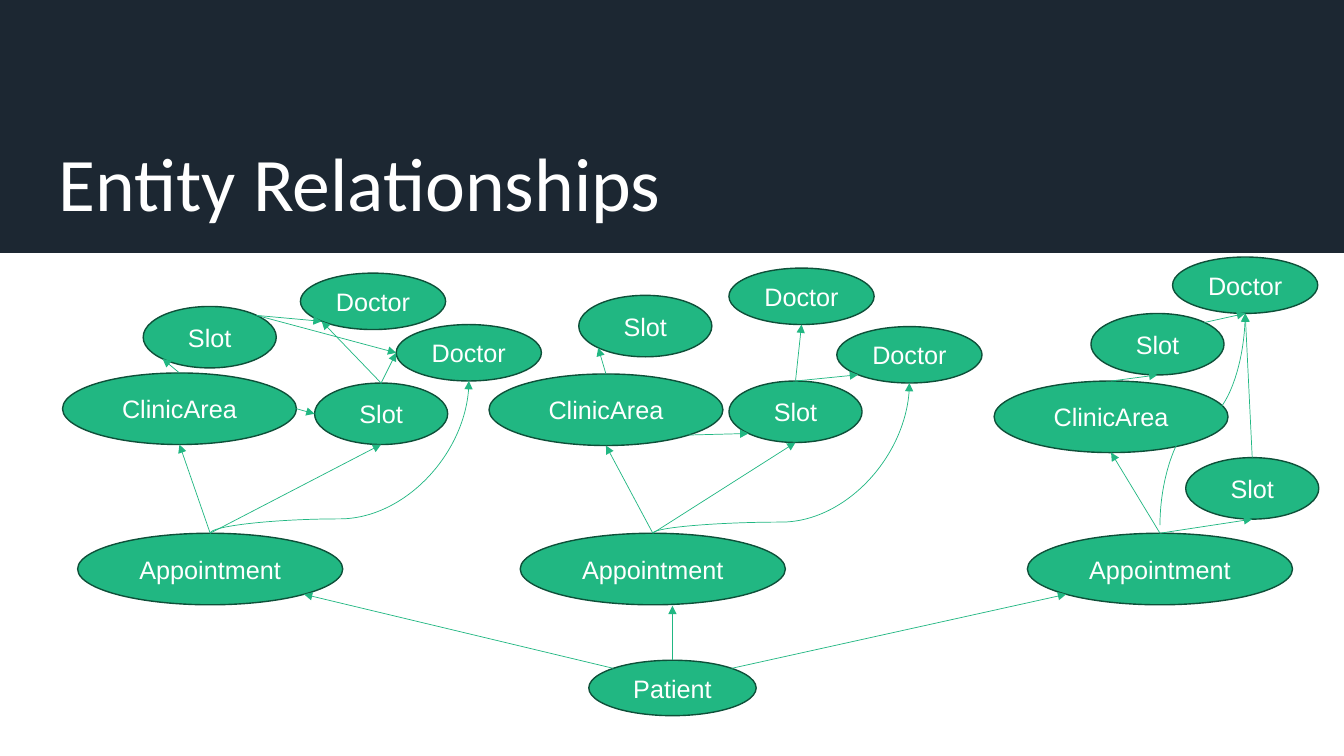
from dataclasses import dataclass
from enum import Enum
from math import cos, radians, sin
from typing import NamedTuple

from lxml import etree
from pptx import Presentation
from pptx import util as u
from pptx.dml import color
from pptx.enum import shapes, text
from pptx.oxml import ns
from pptx.shapes import autoshape, connector as links
from pptx.slide import Slide


@dataclass(frozen=True)
class Theme:
    band: color.RGBColor = color.RGBColor.from_string("1C2732")
    entity: color.RGBColor = color.RGBColor.from_string("21B782")
    outline: color.RGBColor = color.RGBColor.from_string("0E5039")
    text: color.RGBColor = color.RGBColor.from_string("FFFFFF")
    title_font: str = "Calibri"
    label_font: str = "Arial"
    title_size: u.Pt = u.Pt(54)
    label_size: u.Pt = u.Pt(18)
    outline_width: u.Pt = u.Pt(1)
    link_width: u.Pt = u.Pt(0.5)


class Site(Enum):
    RIGHT = 0
    BOTTOM_RIGHT = 45
    BOTTOM = 90
    BOTTOM_LEFT = 135
    LEFT = 180
    TOP_LEFT = 225
    TOP = 270
    TOP_RIGHT = 315


class Point(NamedTuple):
    x: float
    y: float


SIZES = {
    "Patient": (1.66, 0.55),
    "Appointment": (2.63, 0.71),
    "ClinicArea": (2.32, 0.71),
    "Slot": (1.32, 0.61),
    "Doctor": (1.44, 0.56),
}


@dataclass(frozen=True)
class Entity:
    label: str
    left: float
    top: float

    def at(self, site: Site) -> Point:
        width, height = SIZES[self.label]
        angle = radians(site.value)
        return Point(self.left + width / 2 * (1 + cos(angle)),
                     self.top + height / 2 * (1 + sin(angle)))


class Link(NamedTuple):
    source: str
    start: Site
    target: str
    end: Site


class Curve(NamedTuple):
    source: str
    target: str
    gap: float
    bend: float


THEME = Theme()
ENTITIES = {
    "patient": Entity("Patient", 5.84, 6.55),
    "appointment 1": Entity("Appointment", 0.77, 5.29),
    "appointment 2": Entity("Appointment", 5.16, 5.29),
    "appointment 3": Entity("Appointment", 10.19, 5.29),
    "clinic 1": Entity("ClinicArea", 0.62, 3.7),
    "slot 1a": Entity("Slot", 1.42, 3.04),
    "slot 1b": Entity("Slot", 3.12, 3.8),
    "slot 2a": Entity("Slot", 5.74, 2.93),
    "slot 2b": Entity("Slot", 7.23, 3.78),
    "slot 3a": Entity("Slot", 10.82, 3.11),
    "slot 3b": Entity("Slot", 11.76, 4.54),
    "clinic 2": Entity("ClinicArea", 4.85, 3.71),
    "clinic 3": Entity("ClinicArea", 9.86, 3.78),
    "doctor 2a": Entity("Doctor", 7.23, 2.66),
    "doctor 2b": Entity("Doctor", 8.3, 3.24),
    "doctor 1a": Entity("Doctor", 2.98, 2.71),
    "doctor 1b": Entity("Doctor", 3.93, 3.22),
    "doctor 3": Entity("Doctor", 11.63, 2.55),
}
LINKS = [
    Link("patient", Site.TOP_LEFT, "appointment 1", Site.BOTTOM_RIGHT),
    Link("patient", Site.TOP_RIGHT, "appointment 3", Site.BOTTOM_LEFT),
    *(Link(f"appointment {n}", Site.TOP, f"clinic {n}", Site.BOTTOM) for n in (1, 2, 3)),
    *(Link(f"appointment {n}", Site.TOP, f"slot {n}b", Site.BOTTOM) for n in (1, 2, 3)),
    Link("clinic 1", Site.TOP, "slot 1a", Site.BOTTOM_LEFT),
    Link("clinic 1", Site.RIGHT, "slot 1b", Site.LEFT),
    Link("slot 1a", Site.TOP_RIGHT, "doctor 1a", Site.BOTTOM_LEFT),
    Link("slot 1a", Site.TOP_RIGHT, "doctor 1b", Site.LEFT),
    Link("slot 1b", Site.TOP, "doctor 1a", Site.BOTTOM_LEFT),
    Link("slot 1b", Site.TOP, "doctor 1b", Site.LEFT),
    Link("clinic 2", Site.TOP, "slot 2a", Site.BOTTOM_LEFT),
    Link("clinic 2", Site.BOTTOM_RIGHT, "slot 2b", Site.BOTTOM_LEFT),
    Link("slot 2b", Site.TOP, "doctor 2a", Site.BOTTOM),
    Link("slot 2b", Site.TOP, "doctor 2b", Site.BOTTOM_LEFT),
    Link("slot 3a", Site.TOP_RIGHT, "doctor 3", Site.BOTTOM),
    Link("slot 3b", Site.TOP, "doctor 3", Site.BOTTOM),
    Link("clinic 3", Site.TOP, "slot 3a", Site.BOTTOM),
]
CURVES = [
    Curve("appointment 1", "doctor 1b", 0, 0.094),
    Curve("appointment 2", "doctor 2b", 0, 0.074),
    Curve("appointment 3", "doctor 3", 0.08, 0.5),
]


def add_text(paragraph, words: str, font_name: str, size: u.Pt) -> None:
    run = paragraph.add_run()
    run.text = words
    run.font.name = font_name
    run.font.size = size
    run.font.color.rgb = THEME.text


def add_filled(slide: Slide, preset: shapes.MSO_SHAPE, left: float, top: float,
               width: float, height: float, fill: color.RGBColor) -> autoshape.Shape:
    shape = slide.shapes.add_shape(preset, u.Inches(left), u.Inches(top),
                                   u.Inches(width), u.Inches(height))
    shape.shadow.inherit = False
    shape.fill.solid()
    shape.fill.fore_color.rgb = fill
    return shape


def add_heading(slide: Slide) -> None:
    title = slide.shapes.title
    band = add_filled(slide, shapes.MSO_SHAPE.RECTANGLE, 0, 0, 13.33, 2.51, THEME.band)
    band.line.fill.background()
    title.element.addprevious(band.element)
    title.left, title.top = u.Inches(0.53), u.Inches(0.4)
    title.width, title.height = u.Inches(11.89), u.Inches(1.85)
    frame = title.text_frame
    frame.word_wrap = True
    frame.auto_size = text.MSO_AUTO_SIZE.NONE
    frame.vertical_anchor = text.MSO_ANCHOR.BOTTOM
    frame.margin_left, frame.margin_bottom = u.Inches(0.05), 0
    paragraph = frame.paragraphs[0]
    paragraph.alignment = text.PP_ALIGN.LEFT
    add_text(paragraph, "Entity Relationships", THEME.title_font, THEME.title_size)


def add_entity(slide: Slide, entity: Entity) -> None:
    shape = add_filled(slide, shapes.MSO_SHAPE.OVAL, entity.left, entity.top,
                       *SIZES[entity.label], THEME.entity)
    shape.line.color.rgb = THEME.outline
    shape.line.width = THEME.outline_width
    shape.text_frame.vertical_anchor = text.MSO_ANCHOR.MIDDLE
    paragraph = shape.text_frame.paragraphs[0]
    paragraph.alignment = text.PP_ALIGN.CENTER
    add_text(paragraph, entity.label, THEME.label_font, THEME.label_size)


def add_arrow(slide: Slide, start: Point, end: Point,
              kind: shapes.MSO_CONNECTOR = shapes.MSO_CONNECTOR.STRAIGHT) -> links.Connector:
    arrow = slide.shapes.add_connector(kind, *(u.Inches(v) for v in (*start, *end)))
    arrow.line.color.rgb = THEME.entity
    arrow.line.width = THEME.link_width
    properties = arrow.element.spPr
    etree.SubElement(properties.get_or_add_ln(), ns.qn("a:tailEnd"), type="triangle")
    etree.SubElement(properties, ns.qn("a:effectLst"))
    return arrow


def add_curve(slide: Slide, curve: Curve) -> None:
    start = ENTITIES[curve.source].at(Site.TOP)
    start = Point(start.x, start.y - curve.gap)
    end = ENTITIES[curve.target].at(Site.BOTTOM)
    middle = Point((start.x + end.x) / 2, (start.y + end.y) / 2)
    across, rise = (end.x - start.x) / 2, (start.y - end.y) / 2
    arrow = add_arrow(slide, Point(middle.x + rise, middle.y + across),
                      Point(middle.x - rise, middle.y - across), shapes.MSO_CONNECTOR.CURVE)
    properties = arrow.element.spPr
    properties.find(ns.qn("a:xfrm")).set("rot", str(90 * 60000))
    guides = properties.find(ns.qn("a:prstGeom")).get_or_add_avLst()
    etree.SubElement(guides, ns.qn("a:gd"), name="adj1", fmla=f"val {round(curve.bend * 100000)}")


presentation = Presentation()
presentation.slide_width, presentation.slide_height = u.Inches(13.33), u.Inches(7.5)
slide = presentation.slides.add_slide(presentation.slide_layouts[5])
add_heading(slide)
for entity in ENTITIES.values():
    add_entity(slide, entity)
patient_top = ENTITIES["patient"].at(Site.TOP)
add_arrow(slide, patient_top, Point(patient_top.x, 6.01))
for link in LINKS:
    add_arrow(slide, ENTITIES[link.source].at(link.start), ENTITIES[link.target].at(link.end))
for curve in CURVES:
    add_curve(slide, curve)
presentation.save("out.pptx")
